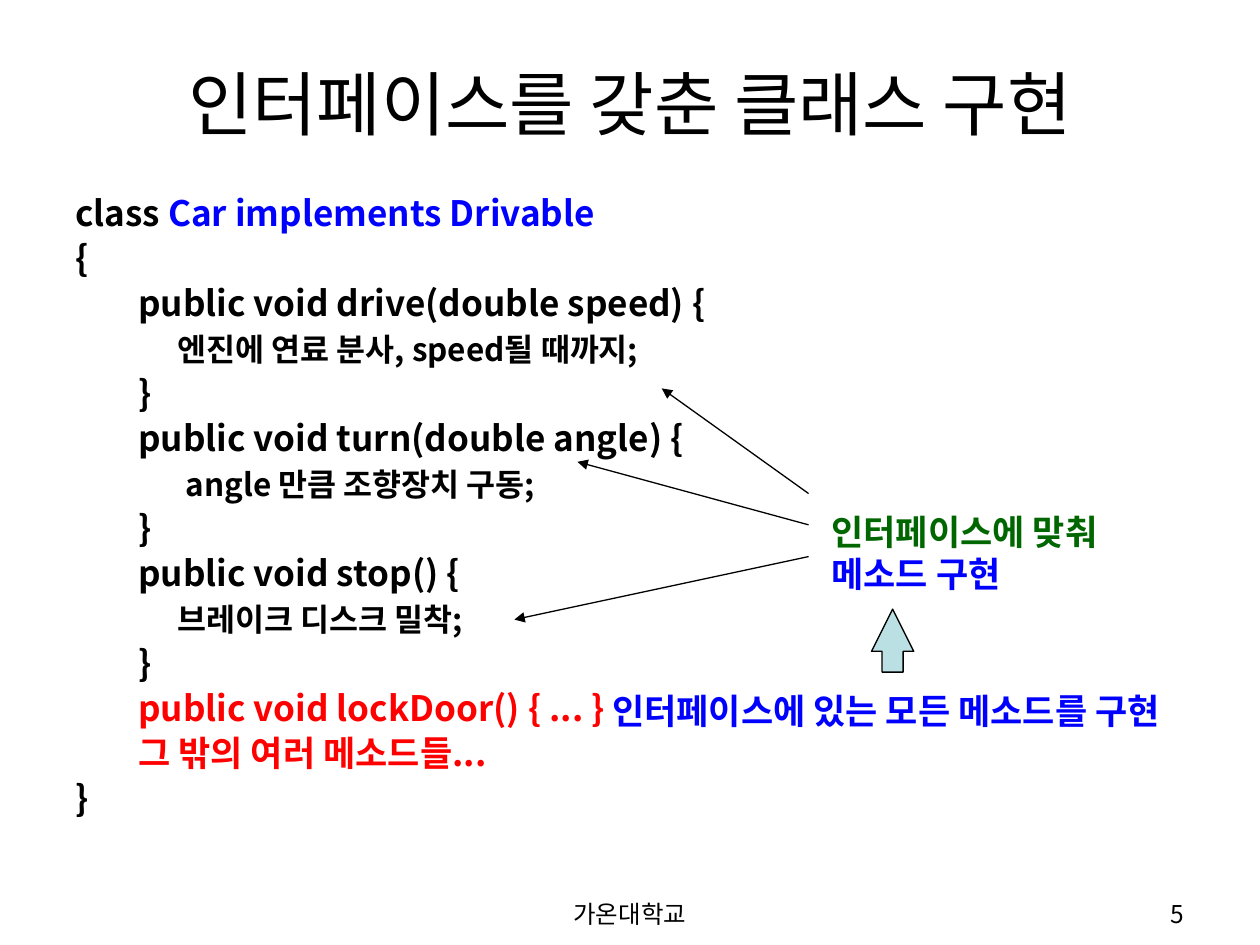
from dataclasses import dataclass

from lxml import etree
from pptx import Presentation
from pptx.dml.color import RGBColor
from pptx.enum import shapes, text
from pptx.oxml.ns import qn
from pptx.util import Cm, Pt

FONT = "Noto Sans CJK KR"
BLACK, BLUE, RED, GREEN = "000000", "0000FF", "FF0000", "006600"
LEFT, CENTER, RIGHT = text.PP_ALIGN.LEFT, text.PP_ALIGN.CENTER, text.PP_ALIGN.RIGHT


@dataclass
class Span:
    words: str
    size: float = 20
    color: str = BLACK
    bold: bool = True


@dataclass
class Line:
    spans: list[Span]
    level: int = 0


@dataclass
class Arrow:
    start: tuple[float, float]
    end: tuple[float, float]


def rgb(value: str) -> RGBColor:
    return RGBColor.from_string(value)


def add_span(para, span: Span) -> None:
    run = para.add_run()
    run.text = span.words
    run.font.size = Pt(span.size)
    run.font.bold = span.bold
    run.font.name = FONT
    run.font.color.rgb = rgb(span.color)
    etree.SubElement(run.font._element, qn("a:ea")).set("typeface", FONT)


def add_text(page, area: tuple, lines: list[Line], align=LEFT,
             anchor=text.MSO_ANCHOR.TOP, leading: float = 1.2):
    box = page.shapes.add_textbox(*(Cm(value) for value in area))
    frame = box.text_frame
    frame.word_wrap = True
    frame.vertical_anchor = anchor
    for index, line in enumerate(lines):
        para = frame.paragraphs[0] if index == 0 else frame.add_paragraph()
        para.alignment = align
        para.line_spacing = Pt(leading * max(span.size for span in line.spans))
        for span in line.spans:
            add_span(para, span)
    return box


def indent_code(box, lines: list[Line]) -> None:
    margins = [(0.95, -0.95), (2.06, -0.79)]
    for para, line in zip(box.text_frame.paragraphs, lines):
        para.space_before = Pt(4)
        para.level = line.level
        left, first = margins[line.level]
        properties = para._p.get_or_add_pPr()
        properties.set("marL", str(Cm(left)))
        properties.set("indent", str(Cm(first)))


def add_arrow(page, arrow: Arrow) -> None:
    connector = page.shapes.add_connector(
        shapes.MSO_CONNECTOR.STRAIGHT,
        *(Cm(value) for value in arrow.start + arrow.end))
    connector.line.color.rgb = rgb(BLACK)
    connector.line.width = Pt(0.75)
    outline = connector.line._get_or_add_ln()
    etree.SubElement(outline, qn("a:tailEnd")).set("type", "triangle")
    etree.SubElement(connector._element.spPr, qn("a:effectLst"))


def code(words: str, color: str = BLACK) -> Line:
    return Line([Span(words, color=color)], level=1)


def action(words: str, lead: str = "\t") -> Line:
    return Line([Span(lead), Span(words, 18)], level=1)


deck = Presentation()
deck.slide_width, deck.slide_height = Cm(25.4), Cm(19.05)
page = deck.slides.add_slide(deck.slide_layouts[6])

# Title
add_text(page, (1.27, 0.76, 22.86, 2.62),
         [Line([Span("인터페이스를 갖춘 클래스 구현", 40, bold=False)])],
         CENTER, text.MSO_ANCHOR.MIDDLE)

# Class listing
listing = [
    Line([Span("class "), Span("Car implements Drivable", color=BLUE)]),
    Line([Span("{")]),
    code("public void drive(double speed) {"),
    action("엔진에 연료 분사, speed될 때까지;"),
    code("}"),
    code("public void turn(double angle) {"),
    action("angle 만큼 조향장치 구동;", "\t "),
    code("}"),
    code("public void stop() {"),
    action("브레이크 디스크 밀착;"),
    code("}"),
    code("public void lockDoor() { ... }", RED),
    code("그 밖의 여러 메소드들...", RED),
    Line([Span("}")]),
]
indent_code(add_text(page, (1.27, 3.81, 22.86, 13.21), listing, leading=1.085), listing)

# Arrows from the note to each method
for arrow in [
    Arrow((16.3, 9.95), (13.34, 7.83)),
    Arrow((16.3, 10.58), (11.64, 9.31)),
    Arrow((16.3, 11.22), (10.37, 12.49)),
]:
    add_arrow(page, arrow)

# Notes
add_text(page, (16.51, 10.16, 6.58, 1.96),
         [Line([Span("인터페이스에 맞춰", color=GREEN)]),
          Line([Span("메소드 구현", color=BLUE)])])
add_text(page, (12.09, 13.77, 12.88, 1.12),
         [Line([Span("인터페이스에 있는 모든 메소드를 구현", color=BLUE)])])

# Block arrow between the notes
pointer = page.shapes.add_shape(
    shapes.MSO_SHAPE.UP_ARROW, Cm(17.57), Cm(12.28), Cm(0.85), Cm(1.27))
pointer.adjustments[0], pointer.adjustments[1] = 0.5, 1
pointer.shadow.inherit = False
pointer.fill.solid()
pointer.fill.fore_color.rgb = rgb("BBE0E3")
pointer.line.color.rgb = rgb(BLACK)
pointer.line.width = Pt(0.75)

# Footer
for words, left, width, align in [("가온대학교", 8.68, 8.04, CENTER),
                                  ("5", 18.2, 5.93, RIGHT)]:
    add_text(page, (left, 17.99, width, 0.69),
             [Line([Span(words, 14, bold=False)])], align)

deck.save("out.pptx")
